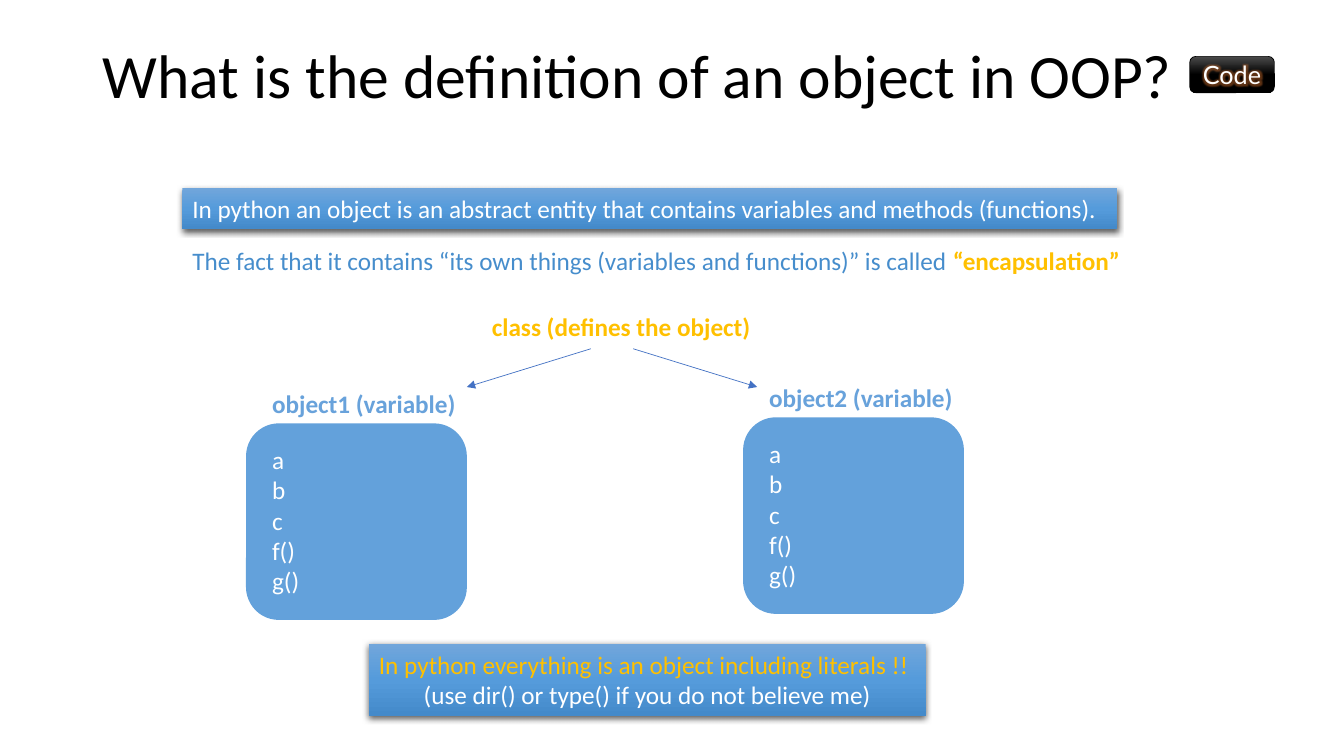
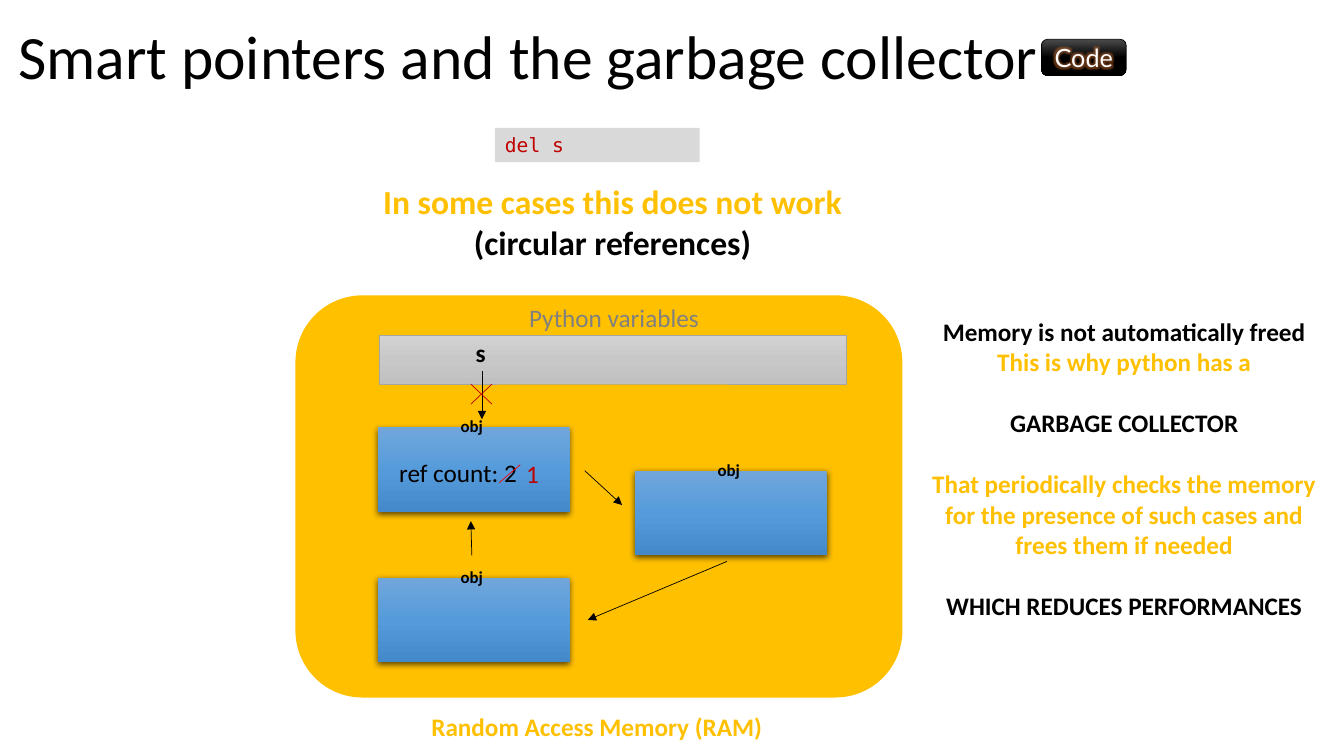
from dataclasses import dataclass
from lxml import etree
from pptx import Presentation
from pptx.dml.color import RGBColor
from pptx.enum.shapes import MSO_CONNECTOR, MSO_SHAPE
from pptx.enum.text import MSO_ANCHOR, MSO_AUTO_SIZE, PP_ALIGN
from pptx.oxml.ns import qn
from pptx.util import Inches, Pt

LINE = MSO_CONNECTOR.STRAIGHT
RECT, ROUND = MSO_SHAPE.RECTANGLE, MSO_SHAPE.ROUNDED_RECTANGLE
TOP, MID = MSO_ANCHOR.TOP, MSO_ANCHOR.MIDDLE
LEFT, MIDDLE = PP_ALIGN.LEFT, PP_ALIGN.CENTER
FIXED = MSO_AUTO_SIZE.NONE


@dataclass(frozen=True)
class Theme:
    black: str = "000000"
    white: str = "FFFFFF"
    gold: str = "FFC000"
    blue: str = "63A1DB"
    label: str = "68A2DB"
    ink: str = "468DCC"
    arrow: str = "4472C4"
    red: str = "C00000"
    bright: str = "FF0000"
    grey: str = "808080"
    edge: str = "A5A5A5"
    pale: str = "D9D9D9"
    glow: str = "ED7D31"
    sky: tuple = ("71A6DB", "559BDB", "448ACA")
    steel: tuple = ("D2D2D2", "C8C8C8", "C0C0C0")
    night: tuple = ("4B4B4B", "000000", "000000")
    font: str = "Calibri"
    mono: str = "DejaVu Sans Mono"
    badge: str = "Lato"
    title: int = 44
    head: int = 24
    body: int = 18
    code: int = 14
    small: int = 12
    gap: int = 22


T = Theme()


def style(color, size=T.body, bold=False, name=T.font):
    return {"color": color, "size": size, "bold": bold, "name": name}


PLAIN, WHITE = style(T.black), style(T.white)
BOLD, GOLD = style(T.black, bold=True), style(T.gold, bold=True)
HEAD = style(T.black, T.head, True)
HEADGOLD = style(T.gold, T.head, True)
OBJ = style(T.black, T.small, True)

MEMBERS = ("a", "b", "c", "f()", "g()")
OBJECTS = [("object1 (variable)", 2.44, 4.2), ("object2 (variable)", 7.37, 4.14)]
BARS = [
    ((1.81, 1.87, 9.27, 0.4), [
        [("In python an object is an abstract entity that contains variables and methods (functions).", WHITE)]], LEFT),
    ((3.66, 6.39, 5.52, 0.71), [
        [("In python everything is an object including literals !!", style(T.gold))],
        [("(use dir() or type() if you do not believe me)", WHITE)]], MIDDLE),
]
NOTES = [
    ((1.81, 2.38, 9.43, 0.4), [
        [("The fact that it contains “its own things (variables and functions)” is called ", style(T.ink)),
         ("“encapsulation”", GOLD)]]),
    ((4.78, 3.04, 2.79, 0.4), [[("class (defines the object)", GOLD)]]),
]
SPLIT = [((5.86, 3.46), (4.63, 3.84)), ((6.28, 3.46), (7.51, 3.84))]

CELLS = [(3.75, 4.24), (3.75, 5.73), (6.3, 4.67)]
LABELS = [
    ((4.18, 7.01, 3.51, 0.4), "Random Access Memory (RAM)", GOLD),
    ((4.62, 3.3, 0.31, 0.4), "s", BOLD),
    ((5.15, 2.95, 1.9, 0.4), "Python variables", style(T.grey)),
    ((3.86, 4.49, 1.39, 0.4), "ref count: 2", PLAIN),
    ((5.12, 4.5, 0.33, 0.4), "1", style(T.red)),
]
CLAIM = [[("In some cases this does not work", HEADGOLD)],
         [("(circular references)", HEAD)]]
STORY = [[("Memory is not automatically freed", BOLD)],
         [("This is why python has a", GOLD)],
         [("GARBAGE COLLECTOR", BOLD)],
         [("That periodically checks the memory for the presence of such cases and frees them if needed", GOLD)],
         [("WHICH REDUCES PERFORMANCES", BOLD)]]
LINKS = [((4.78, 3.68), (4.78, 4.16)), ((5.8, 4.67), (6.17, 5.01)),
         ((7.21, 5.57), (5.83, 6.15)), ((4.68, 5.51), (4.67, 5.17))]
STRIKES = [((4.95, 4.79), (5.16, 4.61), T.bright),
           ((4.67, 4.01), (4.88, 3.81), T.red),
           ((4.67, 3.81), (4.88, 4.01), T.red)]


def rgb(value):
    return RGBColor.from_string(value)


def node(host, tag, **attrs):
    return etree.SubElement(host, qn("a:" + tag), {k: str(v) for k, v in attrs.items()})


def blend(shape, colors):
    shape.fill.gradient()
    shape.fill.gradient_angle = 270
    stops = shape._element.spPr.find(qn("a:gradFill")).find(qn("a:gsLst"))
    for stop in list(stops):
        stops.remove(stop)
    for i, color in enumerate(colors):
        node(node(stops, "gs", pos=i * 50000), "srgbClr", val=color)


def shade(shape):
    effects = shape._element.spPr.find(qn("a:effectLst"))
    cast = node(effects, "outerShdw", blurRad=Pt(4.5), dist=Pt(1.5),
                dir=5400000, algn="ctr", rotWithShape=0)
    node(node(cast, "srgbClr", val=T.black), "alpha", val=63000)


def write(shape, paras, align=LEFT, wrap=False, anchor=TOP, gaps=()):
    frame = shape.text_frame
    for key, value in {"word_wrap": wrap, "auto_size": FIXED, "vertical_anchor": anchor}.items():
        setattr(frame, key, value)
    for i, runs in enumerate(paras):
        para = frame.add_paragraph() if i else frame.paragraphs[0]
        para.alignment = align[i] if isinstance(align, tuple) else align
        if i in gaps:
            para.space_before = Pt(T.gap)
        for text, look in runs:
            run = para.add_run()
            run.text = text
            for key, value in look.items():
                if key == "color":
                    run.font.color.rgb = rgb(value)
                else:
                    setattr(run.font, key, Pt(value) if key == "size" else value)


def text(slide, at, paras, **form):
    box = slide.shapes.add_textbox(*map(Inches, at))
    write(box, paras, **form)
    return box


def block(slide, kind, at, fill, edge=None):
    shape = slide.shapes.add_shape(kind, *map(Inches, at))
    shape.shadow.inherit = False
    if isinstance(fill, tuple):
        blend(shape, fill)
    else:
        shape.fill.solid()
        shape.fill.fore_color.rgb = rgb(fill)
    if edge:
        shape.line.color.rgb = rgb(edge)
        shape.line.width = Pt(0.5)
    else:
        shape.line.fill.background()
    return shape


def panel(slide, at):
    shape = block(slide, RECT, at, T.sky)
    shade(shape)
    return shape


def stroke(slide, start, end, color, head=False):
    line = slide.shapes.add_connector(LINE, *map(Inches, start + end))
    line.line.color.rgb = rgb(color)
    line.line.width = Pt(0.5)
    if head:
        node(line.line._get_or_add_ln(), "tailEnd", type="triangle")
    node(line._element.spPr, "effectLst")


def begin(deck, name, at):
    slide = deck.slides.add_slide(deck.slide_layouts[5])
    title = slide.shapes.title
    for key, value in zip(("left", "top", "width", "height"), at):
        setattr(title, key, Inches(value))
    write(title, [[(name, style(T.black, T.title))]], wrap=True)
    title.text_frame.paragraphs[0].line_spacing = 0.9
    return slide


def badge(slide, left, top):
    shape = block(slide, ROUND, (left, top, 0.84, 0.36), T.night, T.black)
    write(shape, [[("Code", style(T.white, name=T.badge))]], MIDDLE, anchor=MID)
    props = shape.text_frame.paragraphs[0].runs[0].font._element
    effects = etree.Element(qn("a:effectLst"))
    halo = node(effects, "glow", rad=Pt(8))
    node(node(halo, "srgbClr", val=T.glow), "alpha", val=40000)
    props.find(qn("a:solidFill")).addnext(effects)


def define(deck):
    slide = begin(deck, "What is the definition of an object in OOP?", (0.92, 0.4, 11.5, 0.88))
    for at, paras, last in BARS:
        write(panel(slide, at), paras, (LEFT, last))
    for at, paras in NOTES:
        text(slide, at, paras)
    for name, left, top in OBJECTS:
        block(slide, ROUND, (left, top, 2.19, 1.95), T.blue)
        text(slide, (left + 0.16, top - 0.4, 2.04, 0.4), [[(name, style(T.label, bold=True))]])
        text(slide, (left + 0.16, top + 0.16, 0.48, 1.62), [[(m, WHITE)] for m in MEMBERS])
    for start, end in SPLIT:
        stroke(slide, start, end, T.arrow, True)
    badge(slide, 11.8, 0.56)


def collect(deck):
    slide = begin(deck, "Smart pointers and the garbage collector", (0.08, 0.21, 11.5, 0.9))
    block(slide, ROUND, (2.93, 2.93, 6.02, 3.99), T.gold)
    block(slide, RECT, (3.76, 3.33, 4.64, 0.48), T.steel, T.edge)
    for left, top in CELLS:
        panel(slide, (left, top, 1.9, 0.84))
        text(slide, (left + 0.72, top - 0.16, 0.43, 0.3), [[("obj", OBJ)]])
    for at, words, look in LABELS:
        text(slide, at, [[(words, look)]])
    text(slide, (3.48, 1.75, 5.19, 0.91), CLAIM, align=MIDDLE, wrap=True)
    text(slide, (9.02, 3.09, 4.26, 3.43), STORY, align=MIDDLE, wrap=True, gaps=(2, 3, 4))
    code = block(slide, RECT, (4.91, 1.27, 2.03, 0.34), T.pale)
    write(code, [[("del s", style(T.red, T.code, name=T.mono))]], wrap=True)
    for start, end in LINKS:
        stroke(slide, start, end, T.black, True)
    for start, end, color in STRIKES:
        stroke(slide, start, end, color)
    badge(slide, 10.33, 0.39)


def main():
    deck = Presentation()
    deck.slide_width, deck.slide_height = Inches(13.33), Inches(7.5)
    define(deck)
    collect(deck)
    deck.save("out.pptx")


if __name__ == "__main__":
    main()
